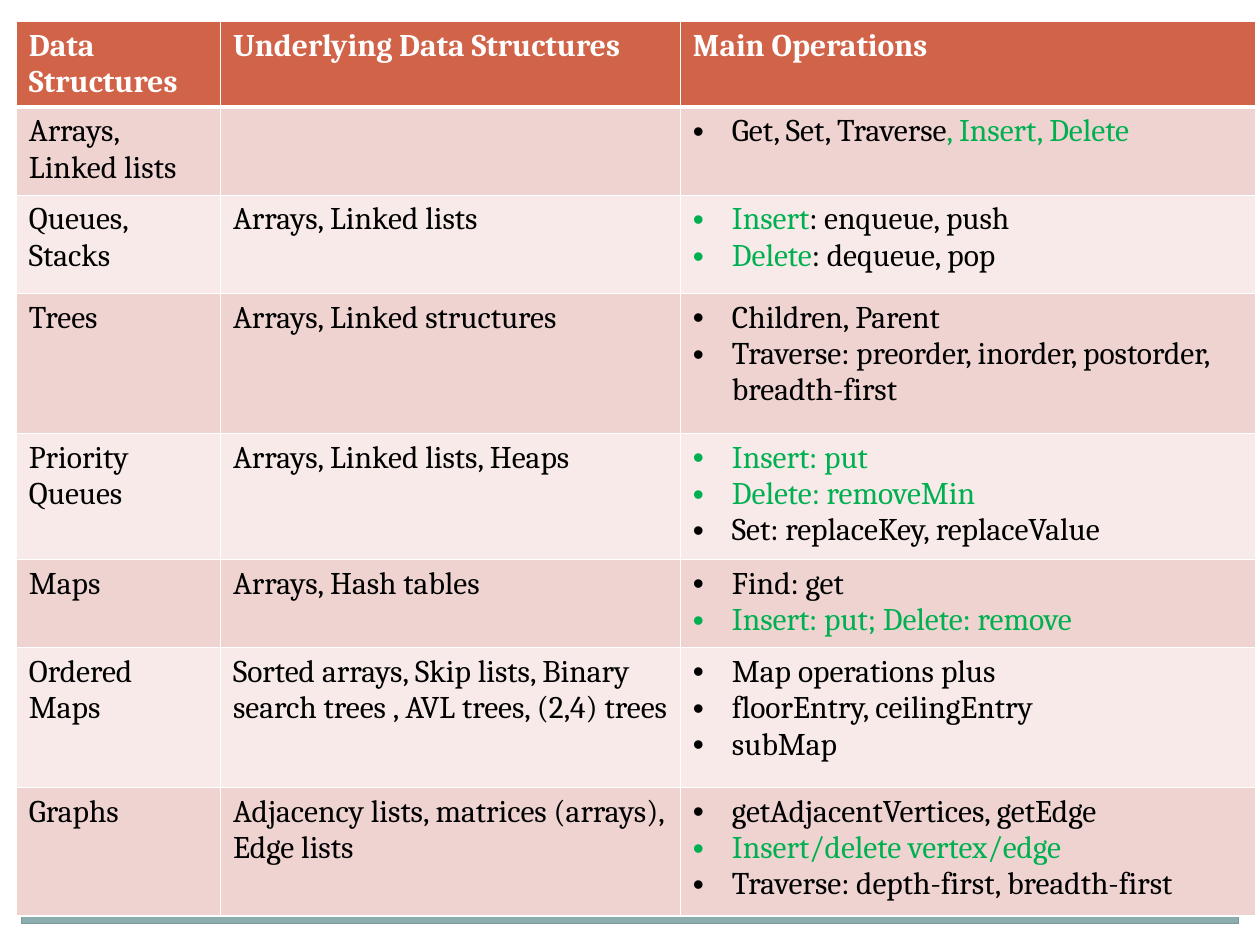
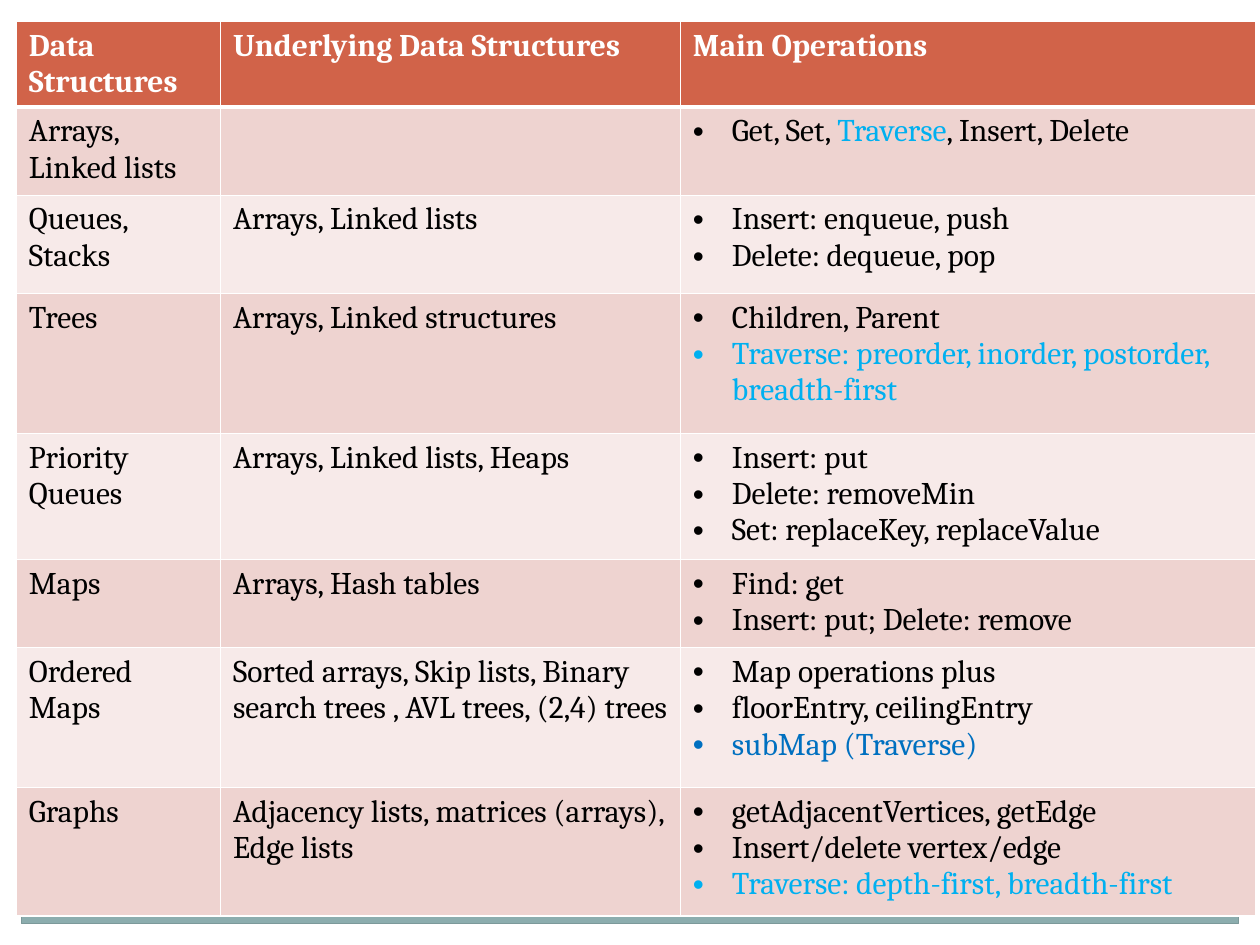
from lxml import etree
from pptx import Presentation
from pptx.dml.color import RGBColor
from pptx.enum import shapes
from pptx.oxml import ns
from pptx.util import Inches, Pt

COLORS = {
    "background": "C5D1D7", "white": "FFFFFF", "black": "000000",
    "footer": "8CADAE", "frame": "7C999A", "header": "D16349",
    "odd_row": "EED3D0", "even_row": "F7EAE9",
    "green": "00B050", "cyan": "00B0F0", "blue": "0070C0",
}
FONT = "Cambria"
WIDTH, HEIGHT, MARGIN = 10, 7.5, 0.17
HEADER_BAND, FOOTER_BAND = 1.52, 0.34
TABLE_LEFT, TABLE_TOP = 0.13, 0.17
COLUMN_WIDTHS = [1.62, 3.65, 4.57]
ROW_HEIGHTS = [0.68, 0.7, 0.78, 1.11, 1, 0.7, 1.11, 1.02]
BULLET_INDENT = 0.31

HEADINGS = ["Data Structures", "Underlying Data Structures", "Main Operations"]
STRUCTURES = [
    ("Arrays, Linked lists", "", ["Get, Set, Traverse, Insert, Delete"]),
    ("Queues, Stacks", "Arrays, Linked lists",
     ["Insert: enqueue, push", "Delete: dequeue, pop"]),
    ("Trees", "Arrays, Linked structures",
     ["Children, Parent",
      "Traverse: preorder, inorder, postorder, breadth-first"]),
    ("Priority Queues", "Arrays, Linked lists, Heaps",
     ["Insert: put", "Delete: removeMin", "Set: replaceKey, replaceValue"]),
    ("Maps", "Arrays, Hash tables",
     ["Find: get", "Insert: put; Delete: remove"]),
    ("Ordered Maps",
     "Sorted arrays, Skip lists, Binary search trees , AVL trees, (2,4) trees",
     ["Map operations plus", "floorEntry, ceilingEntry", "subMap"]),
    ("Graphs", "Adjacency lists, matrices (arrays), Edge lists",
     ["getAdjacentVertices, getEdge", "Insert/delete vertex/edge",
      "Traverse: depth-first, breadth-first"]),
]
SLIDES = [
    {"renamed": {},
     "highlights": {
         "Get, Set, Traverse, Insert, Delete": (", Insert, Delete", "green"),
         "Insert: enqueue, push": ("Insert", "green"),
         "Delete: dequeue, pop": ("Delete", "green"),
         "Insert: put": ("Insert: put", "green"),
         "Delete: removeMin": ("Delete: removeMin", "green"),
         "Insert: put; Delete: remove": ("Insert: put; Delete: remove", "green"),
         "Insert/delete vertex/edge": ("Insert/delete vertex/edge", "green")}},
    {"renamed": {"subMap": "subMap (Traverse)"},
     "highlights": {
         "Get, Set, Traverse, Insert, Delete": ("Traverse", "cyan"),
         "Traverse: preorder, inorder, postorder, breadth-first":
             ("Traverse: preorder, inorder, postorder, breadth-first", "cyan"),
         "subMap (Traverse)": ("subMap (Traverse)", "blue"),
         "Traverse: depth-first, breadth-first":
             ("Traverse: depth-first, breadth-first", "cyan")}},
]


def rgb(name):
    return RGBColor.from_string(COLORS[name])


def write_text(paragraph, content, color="black", bold=False, highlight=None):
    phrase, accent = highlight or ("", color)
    before, match, after = content.partition(phrase) if phrase else (content, "", "")
    for part, part_color in ((before, color), (match, accent), (after, color)):
        if part:
            run = paragraph.add_run()
            run.text = part
            run.font.name, run.font.size, run.font.bold = FONT, Pt(18), bold
            run.font.color.rgb = rgb(part_color)


def add_bullet(paragraph):
    properties = paragraph._p.get_or_add_pPr()
    properties.set("marL", str(Inches(BULLET_INDENT)))
    properties.set("indent", str(-Inches(BULLET_INDENT)))
    etree.SubElement(properties, ns.qn("a:buFont"), typeface="Arial")
    etree.SubElement(properties, ns.qn("a:buChar"), char="•")


def style_cell(cell, fill, top=1, bottom=1):
    cell.fill.solid()
    cell.fill.fore_color.rgb = rgb(fill)
    properties = cell._tc.get_or_add_tcPr()
    borders = {"lnL": 1, "lnR": 1, "lnT": top, "lnB": bottom}
    for position, (side, points) in enumerate(borders.items()):
        line = etree.Element(ns.qn(f"a:{side}"), w=str(Pt(points)))
        solid = etree.SubElement(line, ns.qn("a:solidFill"))
        etree.SubElement(solid, ns.qn("a:srgbClr"), val=COLORS["white"])
        properties.insert(position, line)


def add_box(slide, left, top, width, height, fill=None, line=None):
    shape = slide.shapes.add_shape(
        shapes.MSO_SHAPE.RECTANGLE, *map(Inches, (left, top, width, height)))
    shape.shadow.inherit = False
    if fill:
        shape.fill.solid()
        shape.fill.fore_color.rgb = rgb(fill)
    else:
        shape.fill.background()
    if line:
        shape.line.color.rgb = rgb(line)
        shape.line.width = Pt(0.75)
    else:
        shape.line.fill.background()


def add_page_frame(slide):
    slide.background.fill.solid()
    slide.background.fill.fore_color.rgb = rgb("background")
    inner_width, inner_height = WIDTH - 2 * MARGIN, HEIGHT - 2 * MARGIN
    bottom = HEIGHT - MARGIN
    for edge in ((0, bottom, WIDTH, MARGIN), (0, 0, WIDTH, HEADER_BAND),
                 (0, 0, MARGIN, HEIGHT), (WIDTH - MARGIN, 0, MARGIN, HEIGHT)):
        add_box(slide, *edge, fill="white")
    add_box(slide, MARGIN, bottom - FOOTER_BAND, inner_width, FOOTER_BAND, fill="footer")
    add_box(slide, MARGIN, MARGIN, inner_width, inner_height, line="frame")


def add_structure_table(slide, renamed, highlights):
    table = slide.shapes.add_table(
        len(ROW_HEIGHTS), len(COLUMN_WIDTHS), Inches(TABLE_LEFT), Inches(TABLE_TOP),
        Inches(sum(COLUMN_WIDTHS)), Inches(sum(ROW_HEIGHTS))).table
    table.horz_banding = False
    for column, width in zip(table.columns, COLUMN_WIDTHS):
        column.width = Inches(width)
    for row, height in zip(table.rows, ROW_HEIGHTS):
        row.height = Inches(height)

    for cell, heading in zip(table.rows[0].cells, HEADINGS):
        style_cell(cell, "header", bottom=3)
        write_text(cell.text_frame.paragraphs[0], heading, color="white", bold=True)

    for index, (name, underlying, operations) in enumerate(STRUCTURES, start=1):
        cells = list(table.rows[index].cells)
        for cell in cells:
            style_cell(cell, "odd_row" if index % 2 else "even_row",
                       top=3 if index == 1 else 1)
        for cell, content in zip(cells, (name, underlying)):
            write_text(cell.text_frame.paragraphs[0], content)
        frame = cells[2].text_frame
        for order, operation in enumerate(operations):
            operation = renamed.get(operation, operation)
            paragraph = frame.add_paragraph() if order else frame.paragraphs[0]
            add_bullet(paragraph)
            write_text(paragraph, operation, highlight=highlights.get(operation))


def main():
    presentation = Presentation()
    presentation.slide_width, presentation.slide_height = Inches(WIDTH), Inches(HEIGHT)
    for content in SLIDES:
        slide = presentation.slides.add_slide(presentation.slide_layouts[6])
        add_page_frame(slide)
        add_structure_table(slide, **content)
    presentation.save("out.pptx")


if __name__ == "__main__":
    main()
